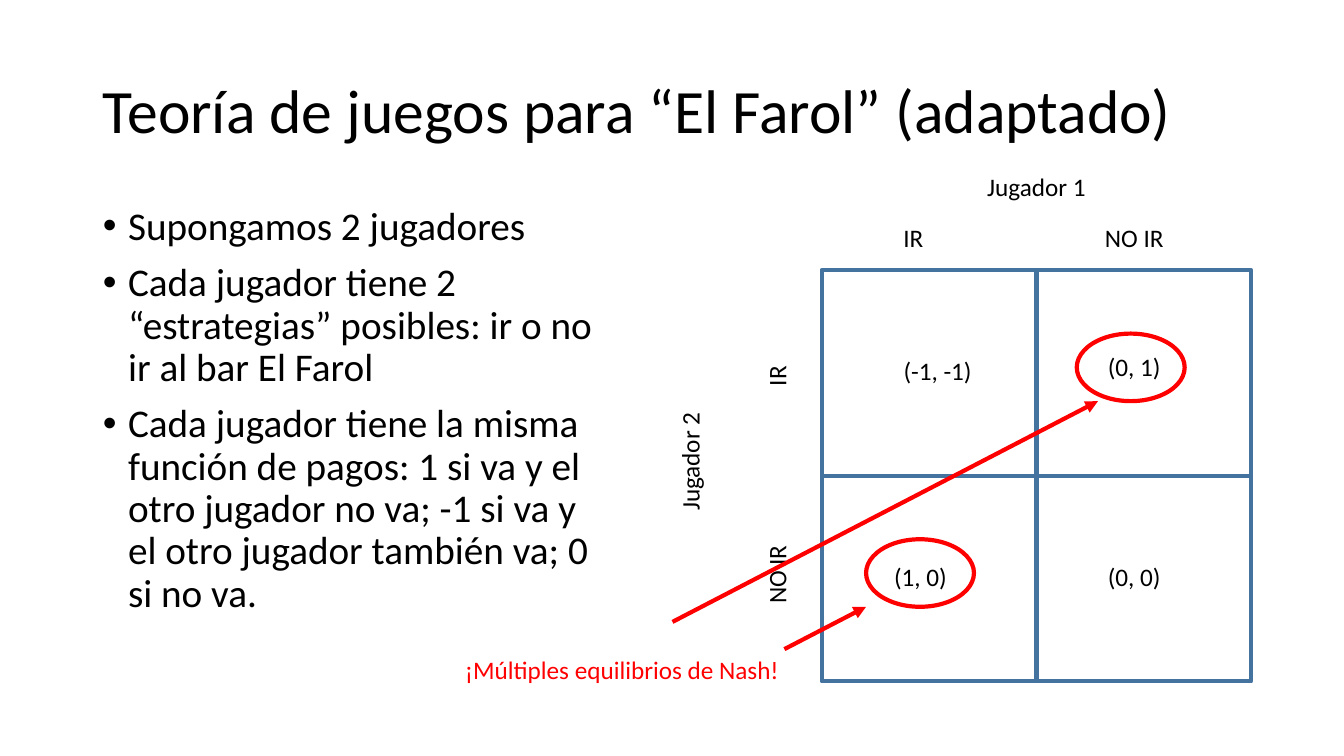
"""Slide on the El Farol game: assumptions beside a two-player payoff matrix."""
from lxml import etree
from pptx import Presentation
from pptx.dml.color import RGBColor
from pptx.enum.shapes import MSO_CONNECTOR, MSO_SHAPE
from pptx.enum.text import MSO_ANCHOR, MSO_AUTO_SIZE, PP_ALIGN
from pptx.oxml.ns import qn
from pptx.util import Inches, Pt

BLACK = RGBColor(0x00, 0x00, 0x00)
RED = RGBColor(0xFF, 0x00, 0x00)
BLUE = RGBColor(0x43, 0x73, 0x9E)
RECTANGLE, ELLIPSE = MSO_SHAPE.RECTANGLE, MSO_SHAPE.OVAL
STRAIGHT = MSO_CONNECTOR.STRAIGHT
LEFT, CENTER = PP_ALIGN.LEFT, PP_ALIGN.CENTER
MIDDLE, TOP = MSO_ANCHOR.MIDDLE, MSO_ANCHOR.TOP
NO_FIT = MSO_AUTO_SIZE.NONE

GRID_LEFT, GRID_TOP, CELL_W, CELL_H = 8.15, 2.68, 2.13, 2.04
LABEL_H = 0.4

deck = Presentation()
deck.slide_width, deck.slide_height = Inches(13.33), Inches(7.5)
slide = deck.slides.add_slide(deck.slide_layouts[1])
title, assumptions = slide.shapes.title, slide.placeholders[1]


def write(shape, lines, size, color, align, anchor):
    frame = shape.text_frame
    frame.text = "\n".join(lines)
    frame.word_wrap = True
    frame.auto_size = NO_FIT
    frame.vertical_anchor = anchor
    for paragraph in frame.paragraphs:
        paragraph.alignment = align
        for attribute, value in {"name": "Calibri", "size": Pt(size)}.items():
            setattr(paragraph.font, attribute, value)
        paragraph.font.color.rgb = color


def outline(kind, left, top, width, height, color):
    shape = slide.shapes.add_shape(kind, *map(Inches, (left, top, width, height)))
    shape.shadow.inherit = False
    shape.fill.background()
    shape.line.color.rgb = color
    shape.line.width = Pt(3)


for placeholder, box in ((title, (0.92, 0.4, 11.5, 1.45)),
                         (assumptions, (0.92, 2, 5.05, 4.76))):
    for side, length in zip(("left", "top", "width", "height"), box):
        setattr(placeholder, side, Inches(length))

write(title, ["Teoría de juegos para “El Farol” (adaptado)"], 44, BLACK, LEFT, MIDDLE)
write(assumptions, [
    "Supongamos 2 jugadores",
    "Cada jugador tiene 2 “estrategias” posibles: ir o no ir al bar El Farol",
    "Cada jugador tiene la misma función de pagos: 1 si va y el otro jugador no va; "
    "-1 si va y el otro jugador también va; 0 si no va.",
], 28, BLACK, LEFT, TOP)
title.text_frame.paragraphs[0].line_spacing = 0.9
for paragraph in assumptions.text_frame.paragraphs:
    paragraph.line_spacing = 0.9
    paragraph.space_before = Pt(10)
    properties = paragraph._p.get_or_add_pPr()
    properties.set("marL", str(Inches(0.25)))
    properties.set("indent", str(-Inches(0.25)))
    etree.SubElement(properties, qn("a:buFont")).set("typeface", "Arial")
    etree.SubElement(properties, qn("a:buChar")).set("char", "•")

for row in range(2):
    for column in range(2):
        outline(RECTANGLE, GRID_LEFT + column * CELL_W, GRID_TOP + row * CELL_H,
                CELL_W, CELL_H, BLUE)

for words, center_x, center_y, width, rotation, color in (
    ("Jugador 1", 10.28, 1.85, 1.25, 0, BLACK),
    ("IR", 9.06, 2.36, 0.6, 0, BLACK),
    ("NO IR", 11.25, 2.36, 1, 0, BLACK),
    ("Jugador 2", 6.84, 4.58, 1.25, 270, BLACK),
    ("IR", 7.7, 3.73, 0.6, 270, BLACK),
    ("NO IR", 7.7, 5.7, 1, 270, BLACK),
    ("(-1, -1)", 9.3, 3.68, 1, 0, BLACK),
    ("(0, 1)", 11.25, 3.64, 1, 0, BLACK),
    ("(1, 0)", 9.13, 5.72, 1, 0, BLACK),
    ("(0, 0)", 11.25, 5.72, 1, 0, BLACK),
    ("¡Múltiples equilibrios de Nash!", 6.17, 6.64, 3.5, 0, RED),
):
    label = slide.shapes.add_textbox(
        Inches(center_x - width / 2), Inches(center_y - LABEL_H / 2),
        Inches(width), Inches(LABEL_H))
    label.rotation = rotation
    write(label, [words], 18, color, CENTER, TOP)

for left, top in ((10.68, 3.31), (8.59, 5.35)):
    outline(ELLIPSE, left, top, 1.07, 0.67, RED)

for ends in ((6.67, 6.17, 10.89, 3.98), (7.78, 6.44, 8.59, 6.02)):
    arrow = slide.shapes.add_connector(STRAIGHT, *map(Inches, ends))
    arrow.line.color.rgb = RED
    arrow.line.width = Pt(3)
    etree.SubElement(arrow.line._get_or_add_ln(), qn("a:tailEnd")).set("type", "triangle")
    etree.SubElement(arrow._element.spPr, qn("a:effectLst"))

deck.save("out.pptx")
